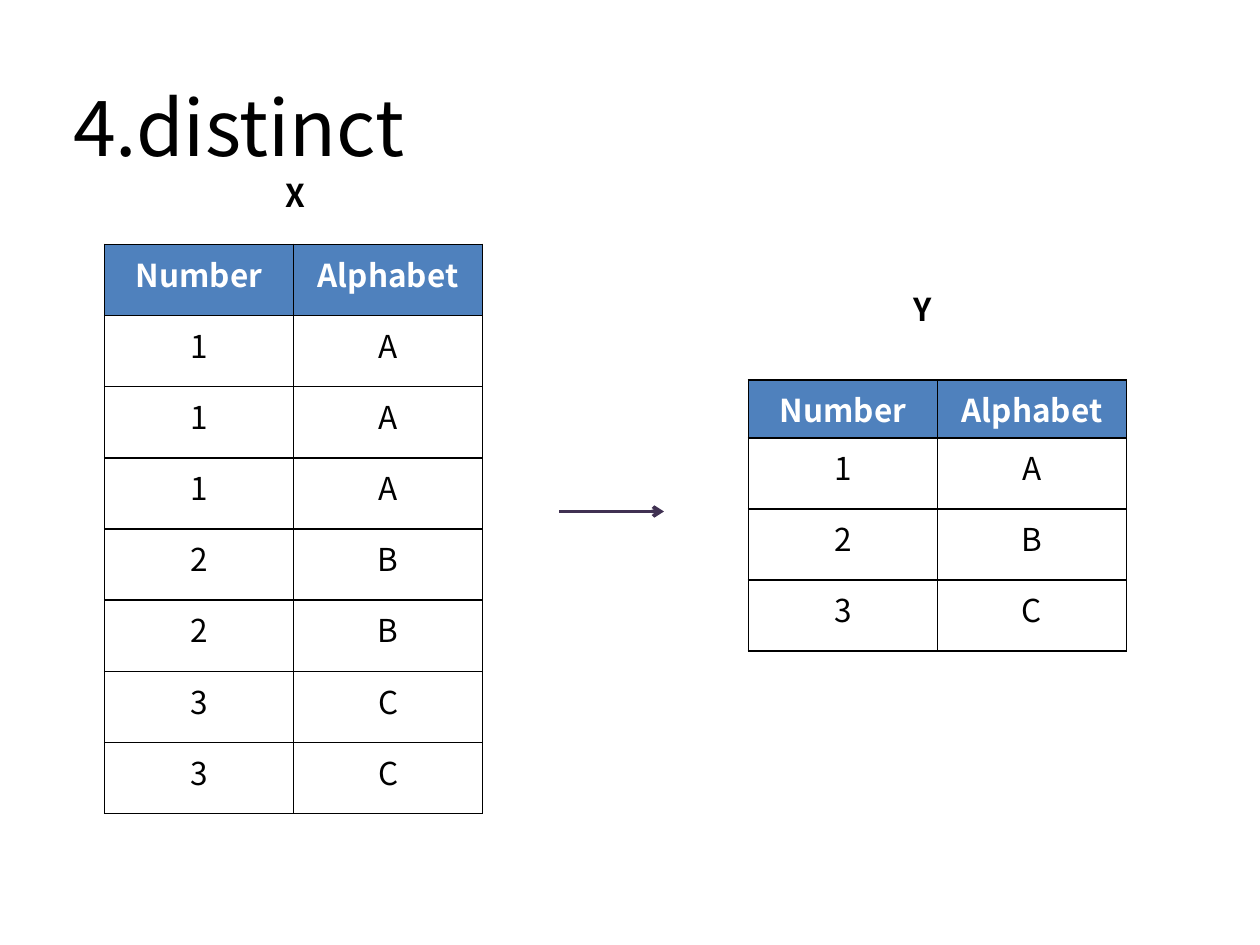
from typing import NamedTuple

from lxml.etree import SubElement
from pptx import Presentation
from pptx.dml.color import RGBColor
from pptx.enum.shapes import MSO_CONNECTOR
from pptx.enum.text import MSO_ANCHOR, PP_ALIGN
from pptx.oxml.ns import qn
from pptx.util import Inches, Pt

FONT = "Noto Sans CJK KR"
BLACK, WHITE, BLUE, PURPLE = "000000", "FFFFFF", "4F81BD", "403152"
SLIDE_WIDTH, SLIDE_HEIGHT = Inches(10), Inches(7.5)
COLUMN_WIDTH, ROW_HEIGHT = 15, 7.53
HEADINGS = ("Number", "Alphabet")


class Area(NamedTuple):
    """Left, top, width and height in percent of the slide."""
    left: float
    top: float
    width: float
    height: float


class Relation(NamedTuple):
    name: str
    label_area: Area
    label_align: PP_ALIGN
    left: float
    top: float
    header_height: float
    rows: list[tuple[str, str]]


RELATIONS = [
    Relation("X", Area(21.7, 18, 7.9, 5.33), PP_ALIGN.LEFT, 8.3, 25.87, ROW_HEIGHT,
             [("1", "A")] * 3 + [("2", "B")] * 2 + [("3", "C")] * 2),
    Relation("Y", Area(68.1, 30, 10.2, 5.33), PP_ALIGN.CENTER, 59.4, 40.2, 6.13,
             [("1", "A"), ("2", "B"), ("3", "C")]),
]


def across(percent: float) -> int:
    return int(SLIDE_WIDTH * percent / 100)


def down(percent: float) -> int:
    return int(SLIDE_HEIGHT * percent / 100)


def place(area: Area) -> tuple[int, int, int, int]:
    return across(area.left), down(area.top), across(area.width), down(area.height)


def color(value: str) -> RGBColor:
    return RGBColor.from_string(value)


def write(frame, text: str, *, size: float = 18, ink: str = BLACK,
          bold: bool = False, align: PP_ALIGN = PP_ALIGN.LEFT) -> None:
    frame.word_wrap = True
    para = frame.paragraphs[0]
    para.alignment = align
    span = para.add_run()
    span.text = text
    span.font.name, span.font.size, span.font.bold = FONT, Pt(size), bold
    span.font.color.rgb = color(ink)


def add_title(page, text: str, area: Area) -> None:
    title = page.shapes.title
    title.left, title.top, title.width, title.height = place(area)
    title.text_frame.vertical_anchor = MSO_ANCHOR.MIDDLE
    write(title.text_frame, text, size=44)


def outline(cell) -> None:
    properties = cell._tc.get_or_add_tcPr()
    for position, side in enumerate(("a:lnL", "a:lnR", "a:lnT", "a:lnB")):
        line = SubElement(properties, qn(side), w=str(Pt(1)))
        fill = SubElement(line, qn("a:solidFill"))
        SubElement(fill, qn("a:srgbClr"), val=BLACK)
        properties.insert(position, line)  # borders must precede the cell fill


def add_relation(page, relation: Relation) -> None:
    label = page.shapes.add_textbox(*place(relation.label_area))
    write(label.text_frame, relation.name, bold=True, align=relation.label_align)

    records = [HEADINGS, *relation.rows]
    heights = [relation.header_height] + [ROW_HEIGHT] * len(relation.rows)
    area = Area(relation.left, relation.top, COLUMN_WIDTH * len(HEADINGS), sum(heights))
    table = page.shapes.add_table(len(records), len(HEADINGS), *place(area)).table
    table.horz_banding = False
    for column in table.columns:
        column.width = across(COLUMN_WIDTH)
    for index, (record, height) in enumerate(zip(records, heights)):
        table.rows[index].height = down(height)
        is_header = index == 0
        for cell, text in zip(table.rows[index].cells, record):
            if is_header:
                cell.fill.solid()
                cell.fill.fore_color.rgb = color(BLUE)
            else:
                cell.fill.background()
            outline(cell)
            write(cell.text_frame, text, ink=WHITE if is_header else BLACK,
                  bold=is_header, align=PP_ALIGN.CENTER)


def add_arrow(page, start: float, end: float, top: float) -> None:
    arrow = page.shapes.add_connector(MSO_CONNECTOR.STRAIGHT, across(start), down(top),
                                      across(end), down(top))
    arrow.line.color.rgb = color(PURPLE)
    arrow.line.width = Pt(2)
    SubElement(arrow.line._get_or_add_ln(), qn("a:tailEnd"), type="arrow")
    SubElement(arrow._element.spPr, qn("a:effectLst"))


def main() -> None:
    deck = Presentation()
    deck.slide_width, deck.slide_height = SLIDE_WIDTH, SLIDE_HEIGHT
    page = deck.slides.add_slide(deck.slide_layouts[5])
    add_title(page, "4.distinct", Area(4.8, 6.93, 90, 12.67))
    for relation in RELATIONS:
        add_relation(page, relation)
    add_arrow(page, start=44.4, end=52.7, top=54.13)
    deck.save("out.pptx")


if __name__ == "__main__":
    main()
